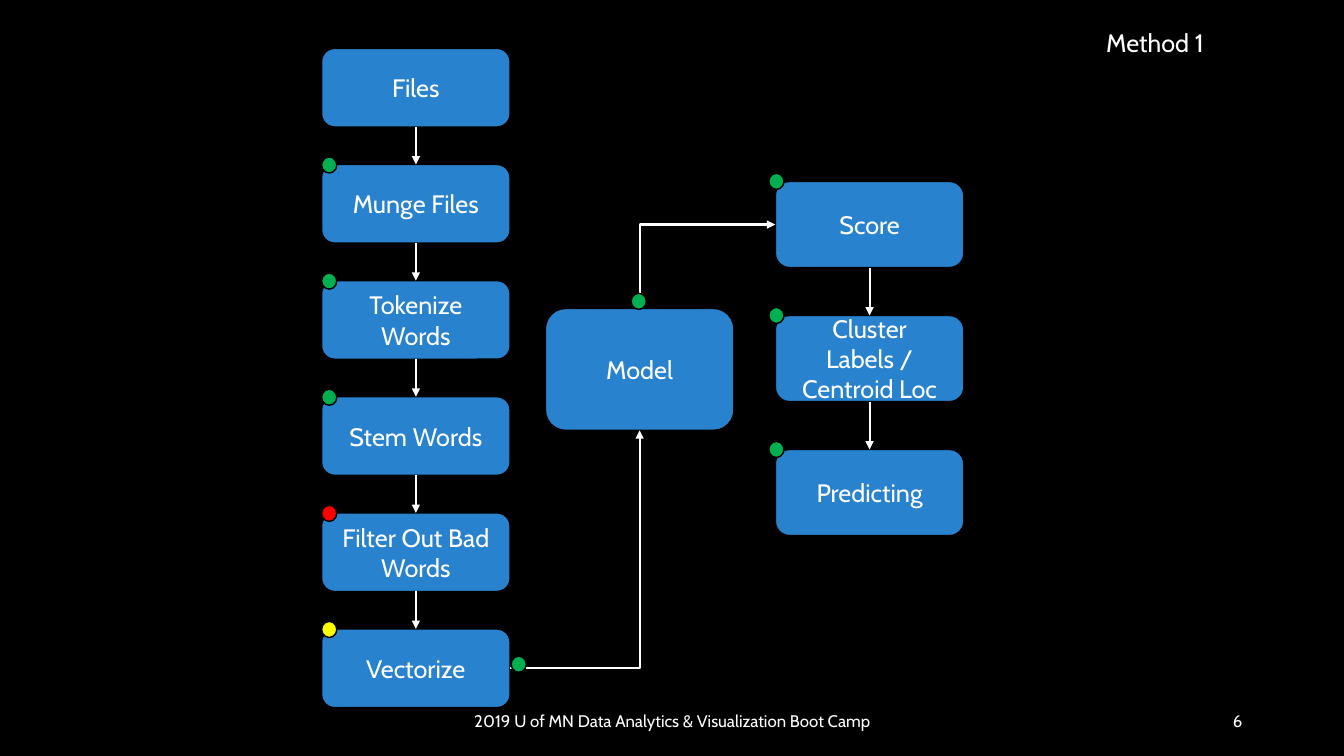
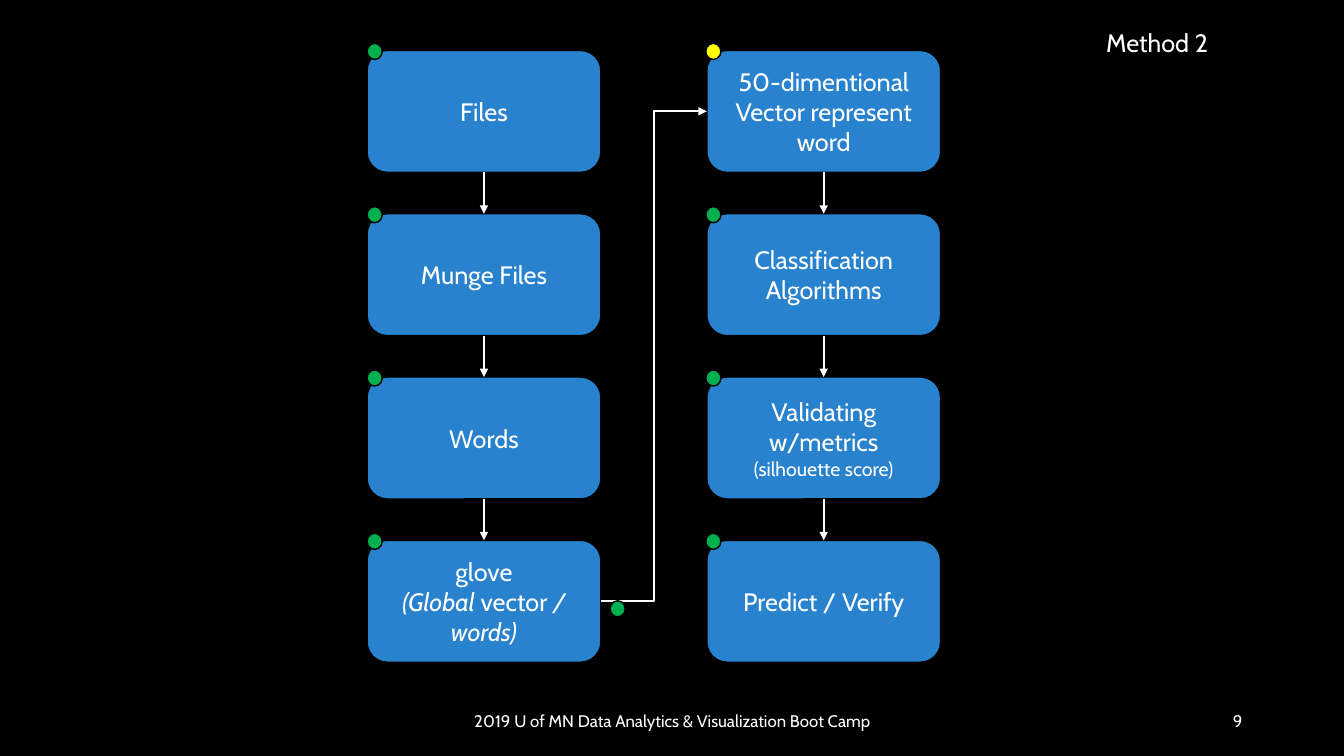
from lxml import etree
from pptx import Presentation
from pptx.dml.color import RGBColor
from pptx.enum.shapes import MSO_CONNECTOR as Connector, MSO_SHAPE as Shape
from pptx.enum.text import MSO_ANCHOR as Anchor, MSO_AUTO_SIZE as AutoSize, PP_ALIGN as Align
from pptx.oxml.ns import qn
from pptx.util import Inches, Pt

BLACK = RGBColor(0x00, 0x00, 0x00)
WHITE = RGBColor(0xFF, 0xFF, 0xFF)
BLUE = RGBColor(0x28, 0x82, 0xCD)
GREEN = RGBColor(0x00, 0xB0, 0x50)
RED = RGBColor(0xFF, 0x00, 0x00)
YELLOW = RGBColor(0xFF, 0xFF, 0x00)

FONT = {"name": "Cabin", "size": Pt(18), "bold": False, "italic": False}
SMALL = {"size": Pt(12)}
ITALIC = {"italic": True}
FOOTER = "2019 U of MN Data Analytics & Visualization Boot Camp"

# Left, top, width and height, in percent of the slide
TITLE_AREA = (81.55, 2.93, 17.63, 5.33)
FOOTER_AREA = (33.16, 92.67, 33.76, 5.33)
NUMBER_AREA = (70.67, 92.67, 22.51, 5.33)
DOT_SIZE = (1.13, 2.13)

# Each column: first box area, row pitch, dot offset, then (lines, dot colour) per box
# Each elbow: start (column, row), end (column, row), preset, start side, end side
SLIDES = [
    {
        "title": "Method 1",
        "number": "6",
        "columns": [
            ((23.93, 6.4, 14.03, 10.4), 15.36, (0, -1), [
                (["Files"], None),
                (["Munge Files"], GREEN),
                (["Tokenize Words"], GREEN),
                (["Stem Words"], GREEN),
                (["Filter Out Bad Words"], RED),
                (["Vectorize"], YELLOW),
            ]),
            ((40.58, 40.8, 14.03, 16.13), 0, (6.38, -2), [
                (["Model"], GREEN),
            ]),
            ((57.69, 24, 14.03, 11.4), 17.73, (-0.49, -1.07), [
                (["Score"], GREEN),
                (["Cluster Labels / Centroid Loc"], GREEN),
                (["Predicting"], GREEN),
            ]),
        ],
        "elbows": [
            ((0, 5), (1, 0), "bentConnector2", "right", "bottom", "tailEnd"),
            ((2, 0), (1, 0), "bentConnector2", "left", "top", "headEnd"),
        ],
        "line_dot": (38.03, 86.8),
    },
    {
        "title": "Method 2",
        "number": "9",
        "columns": [
            ((27.31, 6.67, 17.4, 16.13), 21.6, (0, -0.93), [
                (["Files"], GREEN),
                (["Munge Files"], GREEN),
                (["Words"], GREEN),
                (["glove", [("(Global ", ITALIC), ("vector", {}), (" / words)", ITALIC)]], GREEN),
            ]),
            ((52.59, 6.67, 17.4, 16.13), 21.6, (-0.08, -0.93), [
                (["50-dimentional", "Vector represent word"], YELLOW),
                (["Classification Algorithms"], GREEN),
                (["Validating w/metrics", [("(silhouette score)", {"size": Pt(14)})]], GREEN),
                (["Predict / Verify"], GREEN),
            ]),
        ],
        "elbows": [
            ((0, 3), (1, 0), "bentConnector3", "right", "left", "tailEnd"),
        ],
        "line_dot": (45.39, 79.47),
    },
]

presentation = Presentation()
presentation.slide_width = Inches(13.33)
presentation.slide_height = Inches(7.5)
background = presentation.slide_master.background.fill
background.solid()
background.fore_color.rgb = BLACK


def area(left, top, width, height):
    """Turn percentages of the slide into lengths."""
    across, down = presentation.slide_width / 100, presentation.slide_height / 100
    return [round(value) for value in (left * across, top * down, width * across, height * down)]


def write_text(shape, lines, align, anchor=Anchor.MIDDLE, base={}):
    """Fill a shape with lines, each a string or a list of (text, format) runs."""
    frame = shape.text_frame
    frame.word_wrap = True
    frame.auto_size = AutoSize.NONE
    frame.vertical_anchor = anchor
    for index, line in enumerate(lines):
        paragraph = frame.add_paragraph() if index else frame.paragraphs[0]
        paragraph.alignment = align
        for text, changes in [(line, {})] if isinstance(line, str) else line:
            run = paragraph.add_run()
            run.text = text
            run.font.color.rgb = WHITE
            for name, value in {**FONT, **base, **changes}.items():
                setattr(run.font, name, value)


# The title position is shared through the layout
layout = presentation.slide_layouts.get_by_name("Title Only")
title = layout.placeholders[0]
title.left, title.top, title.width, title.height = area(*TITLE_AREA)

for content in SLIDES:
    slide = presentation.slides.add_slide(layout)
    shapes = slide.shapes
    write_text(shapes.title, [content["title"]], Align.LEFT, Anchor.TOP)

    # Footer and slide number
    for text, place, align in (
        (FOOTER, FOOTER_AREA, Align.CENTER),
        (content["number"], NUMBER_AREA, Align.RIGHT),
    ):
        write_text(shapes.add_textbox(*area(*place)), [text], align, base=SMALL)

    # Boxes, column by column
    boxes, dots, blocks, arrows = {}, [(content["line_dot"], GREEN)], [], []
    for column, ((left, top, width, height), pitch, offset, steps) in enumerate(content["columns"]):
        for row, (lines, dot_color) in enumerate(steps):
            box_top = top + row * pitch
            box = shapes.add_shape(Shape.ROUNDED_RECTANGLE, *area(left, box_top, width, height))
            write_text(box, lines, Align.CENTER)
            boxes[column, row] = box
            blocks.append((box, BLUE))
            if dot_color is not None:
                dots.append(((left + offset[0], box_top + offset[1]), dot_color))

    # Straight arrows between neighbours in a column
    for (column, row), box in boxes.items():
        if (column, row + 1) in boxes:
            arrow = shapes.add_connector(Connector.STRAIGHT, 0, 0, 0, 0)
            arrow.begin_connect(box, 2)
            arrow.end_connect(boxes[column, row + 1], 0)
            arrows.append((arrow, "tailEnd"))

    # Elbow arrows between columns
    for start, end, preset, start_side, end_side, head in content["elbows"]:
        points = []
        for box, side in ((boxes[start], start_side), (boxes[end], end_side)):
            across, down = {"top": (0.5, 0), "left": (0, 0.5),
                            "bottom": (0.5, 1), "right": (1, 0.5)}[side]
            points += [round(box.left + across * box.width), round(box.top + down * box.height)]
        elbow = shapes.add_connector(Connector.ELBOW, *points)
        elbow._element.spPr.find(qn("a:prstGeom")).set("prst", preset)
        arrows.append((elbow, head))

    for arrow, head in arrows:
        arrow.line.color.rgb = WHITE
        arrow.line.width = Pt(1.5)
        properties = arrow._element.spPr
        etree.SubElement(properties.find(qn("a:ln")), qn(f"a:{head}"), type="triangle")
        etree.SubElement(properties, qn("a:effectLst"))

    # Status dots lie above the arrows
    for position, color in dots:
        dot = shapes.add_shape(Shape.FLOWCHART_CONNECTOR, *area(*position, *DOT_SIZE))
        blocks.append((dot, color))

    for block, color in blocks:
        block.shadow.inherit = False
        block.fill.solid()
        block.fill.fore_color.rgb = color
        block.line.color.rgb = BLACK
        block.line.width = Pt(1)

presentation.save("out.pptx")
